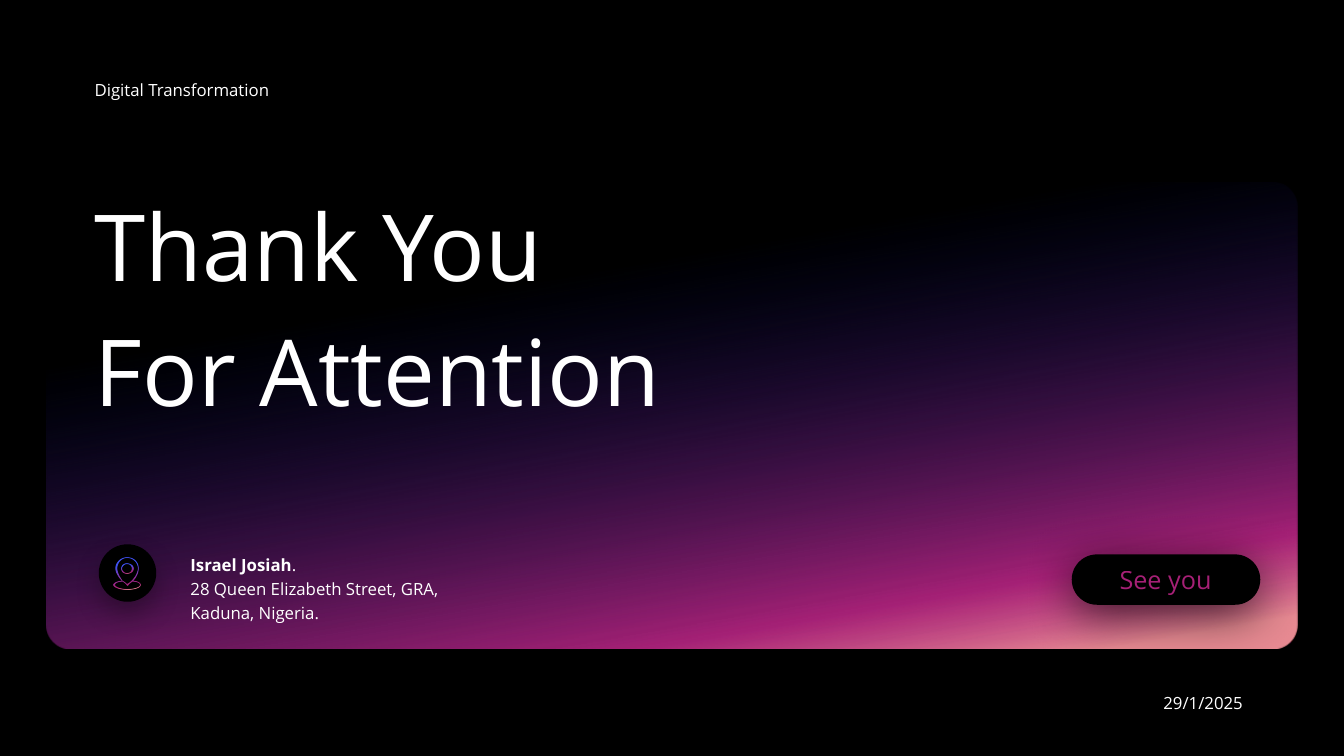
import pptx
import pptx.util
import pptx.dml.color
import pptx.enum.shapes
import pptx.enum.text
import pptx.oxml.ns
import lxml.etree

Inches = pptx.util.Inches
Pt = pptx.util.Pt
RGBColor = pptx.dml.color.RGBColor
Shape = pptx.enum.shapes.MSO_SHAPE
qn = pptx.oxml.ns.qn

BLACK = RGBColor(0x00, 0x00, 0x00)
WHITE = RGBColor(0xFF, 0xFF, 0xFF)
NAVY = RGBColor(0x0C, 0x1A, 0x9C)
BLUE = RGBColor(0x40, 0x52, 0xF0)
PINK = RGBColor(0xED, 0x2F, 0xA9)
PEACH = RGBColor(0xFF, 0x99, 0xA2)

PANEL_STOPS = [(27, NAVY, 0), (83, PINK, 69), (95, PEACH, 90)]
ICON_STOPS = [(27, BLUE, 100), (83, PINK, 69), (95, PEACH, 90)]
TEXT_STOPS = [(0, BLUE, 100), (69, PINK, 69), (94, PEACH, 90)]


def paint_gradient(fill, element, stops, angle):
    fill.gradient()
    gradient = element.find(".//" + qn("a:gradFill"))
    for child in list(gradient):
        gradient.remove(child)
    stop_list = lxml.etree.SubElement(gradient, qn("a:gsLst"))
    for position, color, opacity in stops:
        stop = lxml.etree.SubElement(stop_list, qn("a:gs"), pos=str(position * 1000))
        tint = lxml.etree.SubElement(stop, qn("a:srgbClr"), val=str(color))
        lxml.etree.SubElement(tint, qn("a:alpha"), val=str(opacity * 1000))
    lxml.etree.SubElement(gradient, qn("a:lin"), ang=str(angle * 60000), scaled="0")


def add_text(shapes, spans, bounds, size, wrap=False):
    box = shapes.add_textbox(*map(Inches, bounds))
    frame = box.text_frame
    frame.word_wrap = wrap
    frame.auto_size = pptx.enum.text.MSO_AUTO_SIZE.SHAPE_TO_FIT_TEXT
    para = frame.paragraphs[0]
    for text in spans:
        if text == "\n":
            para.add_line_break()
            continue
        span = para.add_run()
        span.text = text
        span.font.size = Pt(size)
        span.font.name = "Open Sans"
        span.font.color.rgb = WHITE
    return para


deck = pptx.Presentation()
deck.slide_width = Inches(13.33)
deck.slide_height = Inches(7.5)
page = deck.slides.add_slide(deck.slide_layouts[6])
page.background.fill.solid()
page.background.fill.fore_color.rgb = BLACK

panel = page.shapes.add_shape(Shape.ROUNDED_RECTANGLE, *map(Inches, (0.46, 1.81, 12.41, 4.62)))
panel.adjustments[0] = 0.052
panel.shadow.inherit = False
panel.line.fill.background()
paint_gradient(panel.fill, panel._element, PANEL_STOPS, 80)

MARGIN = 0.84
for text, bounds, size in [
    ("Digital Transformation", (MARGIN, 0.74, 1.96, 0.3), 12),
    ("29/1/2025", (11.44, 6.82, 1, 0.3), 12),
    ("Thank You", (MARGIN, 1.83, 4.73, 1.21), 66),
    ("For Attention", (MARGIN, 3.07, 5.88, 1.21), 66),
]:
    add_text(page.shapes, [text], bounds, size)

groups = []
for kind, bounds, opacity, blur, distance in [
    (Shape.ROUNDED_RECTANGLE, (10.63, 5.5, 1.87, 0.5), 70, 36, 7),
    (Shape.OVAL, (0.98, 5.4, 0.57, 0.57), 30, 19, 9),
]:
    group = page.shapes.add_group_shape()
    badge = group.shapes.add_shape(kind, *map(Inches, bounds))
    if kind == Shape.ROUNDED_RECTANGLE:
        badge.adjustments[0] = 0.5
    badge.fill.solid()
    badge.fill.fore_color.rgb = BLACK
    badge.line.fill.background()
    badge.shadow.inherit = False
    shadow = lxml.etree.SubElement(
        badge._element.spPr.find(qn("a:effectLst")), qn("a:outerShdw"),
        blurRad=str(Pt(blur)), dist=str(Pt(distance)), dir="5400000",
        algn="t", rotWithShape="0")
    tint = lxml.etree.SubElement(shadow, qn("a:srgbClr"), val=str(BLACK))
    lxml.etree.SubElement(tint, qn("a:alpha"), val=str(opacity * 1000))
    groups.append(group)
button, marker = groups

farewell = add_text(button.shapes, ["See you"], (10.72, 5.55, 1.68, 0.4), 18, wrap=True)
farewell.alignment = pptx.enum.text.PP_ALIGN.CENTER
paint_gradient(farewell.runs[0].font.fill, farewell.runs[0]._r, TEXT_STOPS, 300)

RING_CURVES = [
    [(1.26, 5.69), (1.29, 5.69), (1.32, 5.67), (1.32, 5.64), (1.32, 5.61), (1.29, 5.59),
     (1.26, 5.59), (1.23, 5.59), (1.21, 5.61), (1.21, 5.64), (1.21, 5.67), (1.23, 5.69),
     (1.26, 5.69)],
    [(1.26, 5.6), (1.29, 5.6), (1.3, 5.62), (1.3, 5.64), (1.3, 5.66), (1.29, 5.68),
     (1.26, 5.68), (1.24, 5.68), (1.22, 5.66), (1.22, 5.64), (1.22, 5.62), (1.24, 5.6),
     (1.26, 5.6)],
]
PIN_CURVES = [
    [(1.32, 5.76), (1.35, 5.73), (1.37, 5.68), (1.37, 5.64), (1.37, 5.58), (1.33, 5.53),
     (1.26, 5.53), (1.2, 5.53), (1.15, 5.58), (1.15, 5.64), (1.15, 5.68), (1.18, 5.73),
     (1.21, 5.76), (1.17, 5.76), (1.13, 5.78), (1.13, 5.8), (1.13, 5.83), (1.2, 5.85),
     (1.26, 5.85), (1.33, 5.85), (1.39, 5.83), (1.39, 5.8), (1.39, 5.78), (1.36, 5.76),
     (1.32, 5.76)],
    [(1.26, 5.54), (1.32, 5.54), (1.36, 5.59), (1.36, 5.64), (1.36, 5.68), (1.33, 5.73),
     (1.3, 5.76), (1.29, 5.77), (1.28, 5.78), (1.26, 5.79), (1.25, 5.78), (1.24, 5.77),
     (1.22, 5.76), (1.2, 5.73), (1.17, 5.68), (1.17, 5.64), (1.17, 5.59), (1.21, 5.54),
     (1.26, 5.54)],
    [(1.26, 5.84), (1.21, 5.84), (1.15, 5.82), (1.15, 5.8), (1.15, 5.79), (1.17, 5.77),
     (1.22, 5.77), (1.23, 5.78), (1.25, 5.79), (1.26, 5.81), (1.26, 5.81), (1.27, 5.81),
     (1.27, 5.81), (1.28, 5.79), (1.3, 5.78), (1.31, 5.77), (1.36, 5.77), (1.38, 5.79),
     (1.38, 5.8), (1.38, 5.82), (1.33, 5.84), (1.26, 5.84)],
]
for curves in (RING_CURVES, PIN_CURVES):
    builder = marker.shapes.build_freeform(*map(Inches, curves[0][0]))
    for curve in curves:
        points = [tuple(map(Inches, point)) for point in curve]
        if curve is not curves[0]:
            builder.move_to(*points[0])
        builder.add_line_segments(points[1:], close=True)
    outline = builder.convert_to_shape()
    segments = list(outline._element.iter(qn("a:lnTo")))
    for first in range(0, len(segments), 3):
        bend = pptx.oxml.parse_xml(
            '<a:cubicBezTo xmlns:a="http://schemas.openxmlformats.org/drawingml/2006/main"/>')
        segments[first].addprevious(bend)
        for segment in segments[first:first + 3]:
            bend.append(segment[0])
            segment.getparent().remove(segment)
    outline.shadow.inherit = False
    outline.line.fill.background()
    paint_gradient(outline.fill, outline._element, ICON_STOPS, 80)

address = add_text(
    page.shapes,
    ["Israel Josiah", ". ", "\n", "28 Queen Elizabeth Street, GRA, Kaduna, Nigeria."],
    (1.79, 5.41, 3.05, 0.81), 12, wrap=True)
address.line_spacing = 1.2
address.runs[0].font.bold = True

deck.save("out.pptx")
